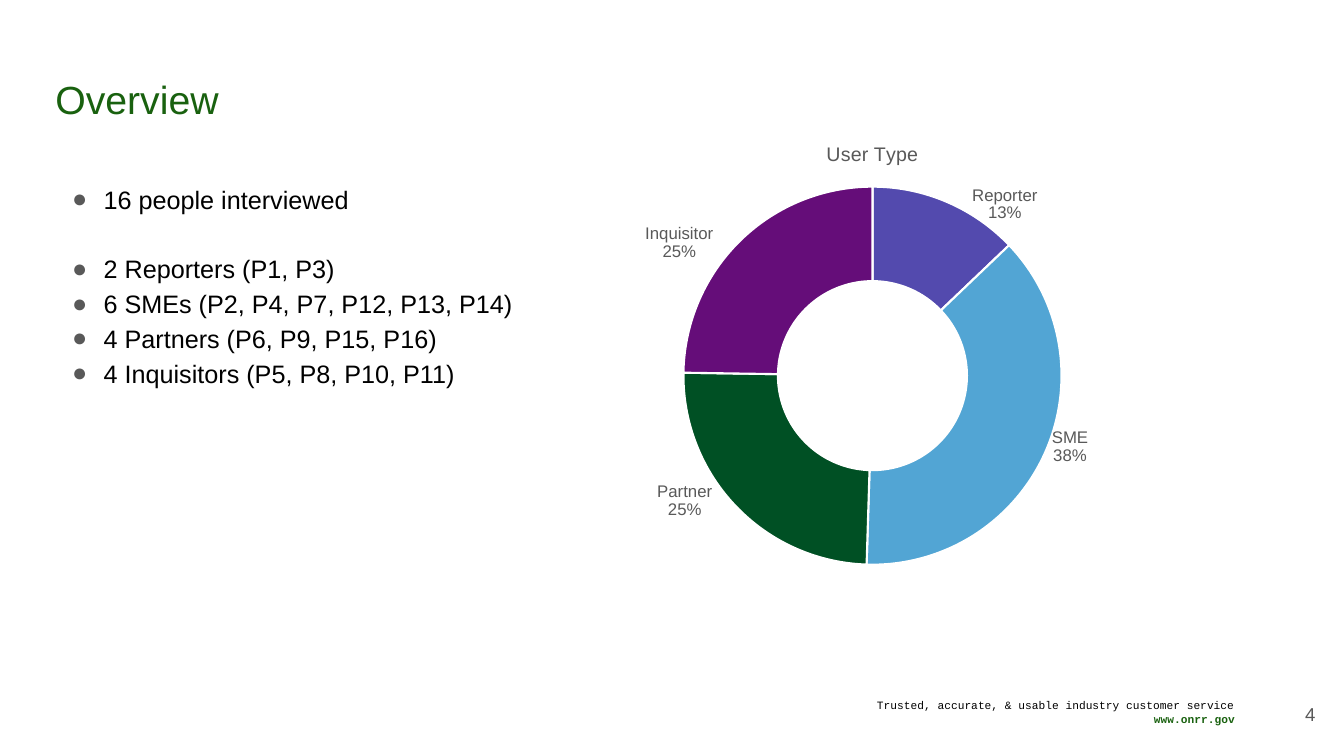
"""Build the interview overview slide with its user type doughnut."""
from dataclasses import dataclass
from pptx import Presentation
from pptx.chart.data import CategoryChartData as Data
from pptx.dml.color import RGBColor as RGB
from pptx.enum.chart import XL_CHART_TYPE as Kind
from pptx.enum.text import MSO_ANCHOR as Anchor, PP_ALIGN as Align
from pptx.oxml import parse_xml as to_xml
from pptx.oxml.ns import nsdecls, qn
from pptx.util import Pt


@dataclass(frozen=True)
class Theme:
    """Colours, fonts and type sizes of the slide."""
    green: str = "19610F"
    black: str = "000000"
    gray: str = "595959"
    white: str = "FFFFFF"
    sans: str = "Arial"
    mono: str = "Courier New"
    head: float = 28
    body: float = 18
    label: float = 12
    cap: float = 14
    page: float = 13.3
    foot: float = 8
    base: float = 10


class Deck:
    """Holds the theme and the current slide."""

    def __init__(self, show, theme):
        """Add a title-only slide."""
        self.theme = theme
        self.slide = show.slides.add_slide(show.slide_layouts[5])

    def style(self, font, size, color, face=None, bold=False):
        """Set the look of a font."""
        font.size, font.name, font.bold = Pt(size), face or self.theme.sans, bold
        font.color.rgb = RGB.from_string(color)

    def frame(self, shape, side=7.2, edge=7.2, anchor=Anchor.TOP):
        """Set wrap, anchor and insets of a text frame."""
        text = shape.text_frame
        text.word_wrap, text.vertical_anchor = True, anchor
        text.margin_left = text.margin_right = Pt(side)
        text.margin_top = text.margin_bottom = Pt(edge)
        return text

    def box(self, area, **look):
        """Add an empty text box."""
        return self.frame(self.slide.shapes.add_textbox(*map(Pt, area)), **look)

    def title(self, words, area):
        """Place and format the title."""
        shape = self.slide.shapes.title
        shape.left, shape.top, shape.width, shape.height = map(Pt, area)
        text = self.frame(shape)
        text.text = words
        para = text.paragraphs[0]
        para.alignment = Align.LEFT
        self.style(para.font, self.theme.head, self.theme.green)

    def list(self, items, area, gaps):
        """Add a bullet list with extra space before the items in gaps."""
        text = self.box(area)
        for i, item in enumerate(items):
            para = text.paragraphs[0] if i == 0 else text.add_paragraph()
            para.text, para.line_spacing = item, 1.15
            para.space_before = Pt(gaps.get(i, 0))
            props = para._p.get_or_add_pPr()
            props.set("marL", str(Pt(34.5)))
            props.set("indent", str(Pt(-22.5)))
            for mark in (f'<a:buClr {nsdecls("a")}><a:srgbClr val="{self.theme.gray}"/></a:buClr>',
                         f'<a:buFont {nsdecls("a")} typeface="{self.theme.sans}"/>',
                         f'<a:buChar {nsdecls("a")} char="●"/>'):
                props.append(to_xml(mark))
            self.style(para.font, self.theme.body, self.theme.black)

    def foot(self, lines, area):
        """Add right-aligned footer lines of words, colour and weight."""
        text = self.box(area, edge=3.6)
        for i, (words, color, bold) in enumerate(lines):
            para = text.paragraphs[0] if i == 0 else text.add_paragraph()
            para.text, para.alignment = words, Align.RIGHT
            self.style(para.font, self.theme.foot, color, self.theme.mono, bold)

    def page(self, num, area):
        """Add the slide number."""
        para = self.box(area, anchor=Anchor.MIDDLE).paragraphs[0]
        para.text, para.alignment = num, Align.RIGHT
        self.style(para.font, self.theme.page, self.theme.gray)

    def place(self, spots, inner=False):
        """Make a manual chart layout."""
        parts = '<c:layoutTarget val="inner"/><c:xMode val="edge"/><c:yMode val="edge"/>' if inner else ""
        parts += "".join(f'<c:{key} val="{val}"/>' for key, val in zip("xywh", spots))
        return to_xml(f'<c:layout {nsdecls("c")}><c:manualLayout>{parts}</c:manualLayout></c:layout>')

    def ring(self, name, rows, area, plot):
        """Add a doughnut from rows of name, value, colour and label shift."""
        theme = self.theme
        data = Data()
        data.categories = [row[0] for row in rows]
        data.add_series(name, [row[1] for row in rows])
        chart = self.slide.shapes.add_chart(Kind.DOUGHNUT, *map(Pt, area), data).chart
        chart.has_legend = False
        self.style(chart.font, theme.base, theme.black)
        chart.has_title = True
        chart.chart_title.include_in_layout = False
        head = chart.chart_title.text_frame
        head.text = name
        self.style(head.paragraphs[0].font, theme.cap, theme.gray)
        chart.plots[0].vary_by_categories = True
        root = chart._chartSpace
        root.find(".//" + qn("c:holeSize")).set("val", "75")
        zone = root.find(".//" + qn("c:plotArea"))
        old = zone.find(qn("c:layout"))
        if old is not None:
            zone.remove(old)
        zone.insert(0, self.place(plot, True))
        ser = chart.plots[0].series[0]
        tags = ser.data_labels
        tags.show_value, tags.show_percentage, tags.show_category_name = False, True, True
        self.style(tags.font, theme.label, theme.gray)
        for i, (_, _, color, _) in enumerate(rows):
            point = ser.points[i]
            point.format.fill.solid()
            point.format.fill.fore_color.rgb = RGB.from_string(color)
            point.format.line.width = Pt(1.5)
            point.format.line.color.rgb = RGB.from_string(theme.white)
            self.style(point.data_label.font, theme.label, theme.gray)
        for lead in root.iter(qn("c:showLeaderLines")):
            lead.set("val", "0")
        for tag, row in zip(root.iter(qn("c:dLbl")), rows):
            tag.insert(1, self.place(row[3]))
            tag.insert(2, to_xml(
                f'<c:spPr {nsdecls("c", "a")}><a:solidFill><a:srgbClr val="{theme.white}"/>'
                '</a:solidFill><a:ln><a:noFill/></a:ln></c:spPr>'))
            for key, val in (("showVal", "0"), ("showCatName", "1"), ("showPercent", "1")):
                tag.find(qn("c:" + key)).set("val", val)
            tag.append(to_xml(f'<c:separator {nsdecls("c")}>\n</c:separator>'))


def main():
    """Build and save the slide."""
    show = Presentation()
    show.slide_width, show.slide_height = Pt(960), Pt(540)
    theme = Theme()
    deck = Deck(show, theme)
    deck.foot([("Trusted, accurate, & usable industry customer service", theme.black, False),
               ("www.onrr.gov", theme.green, True)], (230.4, 495.4, 658.8, 36))
    deck.title("Overview", (32.4, 46.8, 894.2, 60.5))
    deck.list(["16 people interviewed", "2 Reporters (P1, P3)",
               "6 SMEs (P2, P4, P7, P12, P13, P14)", "4 Partners (P6, P9, P15, P16)",
               "4 Inquisitors (P5, P8, P10, P11)"], (32.4, 121, 894.2, 358.6), {1: 24.8})
    deck.page("4", (889.2, 489.6, 57.6, 41))
    deck.ring("User Type", [("Reporter", 13, "534AAE", (0.09, -0.09)),
                            ("SME", 38, "52A5D4", (0.08, 0.03)),
                            ("Partner", 25, "005024", (-0.1, 0.06)),
                            ("Inquisitor", 25, "650D79", (-0.11, -0.07))],
              (319, 87.8, 608.4, 325.4), (0.27, 0.14, 0.46, 0.83))
    show.save("out.pptx")


if __name__ == "__main__":
    main()
